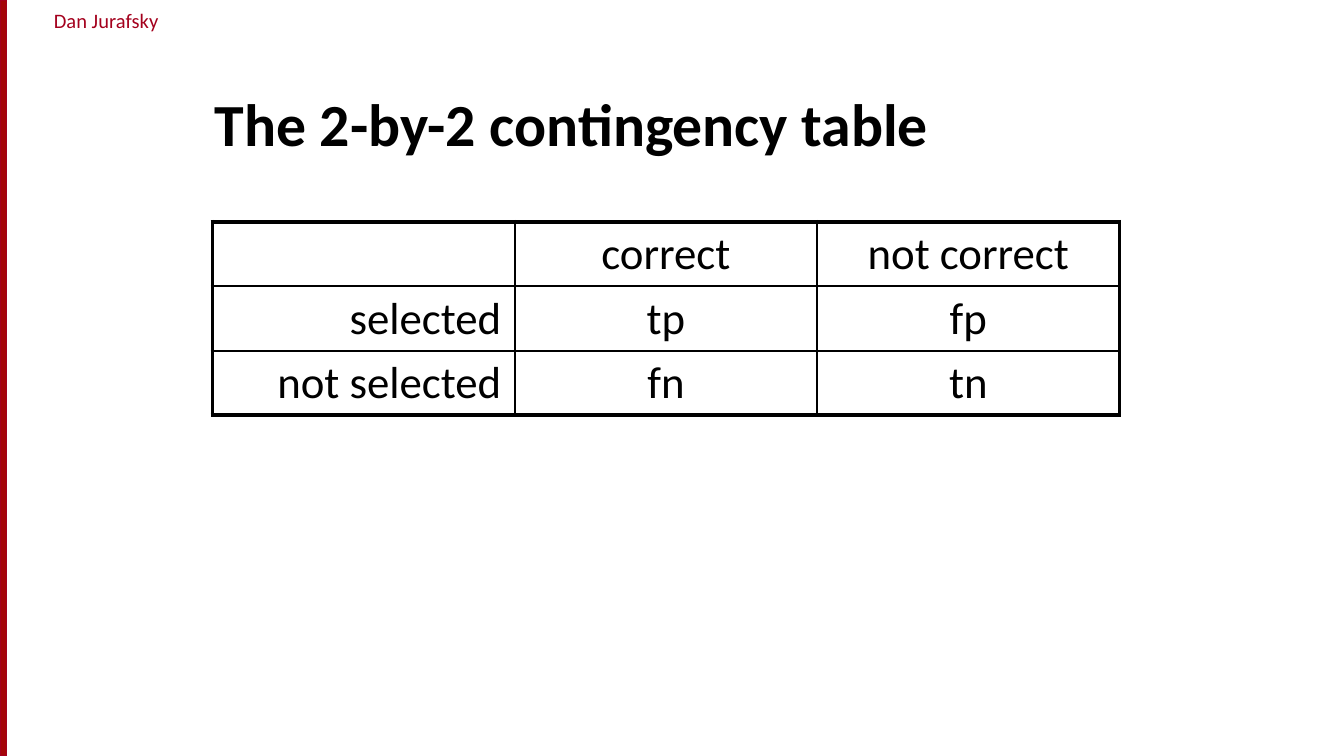
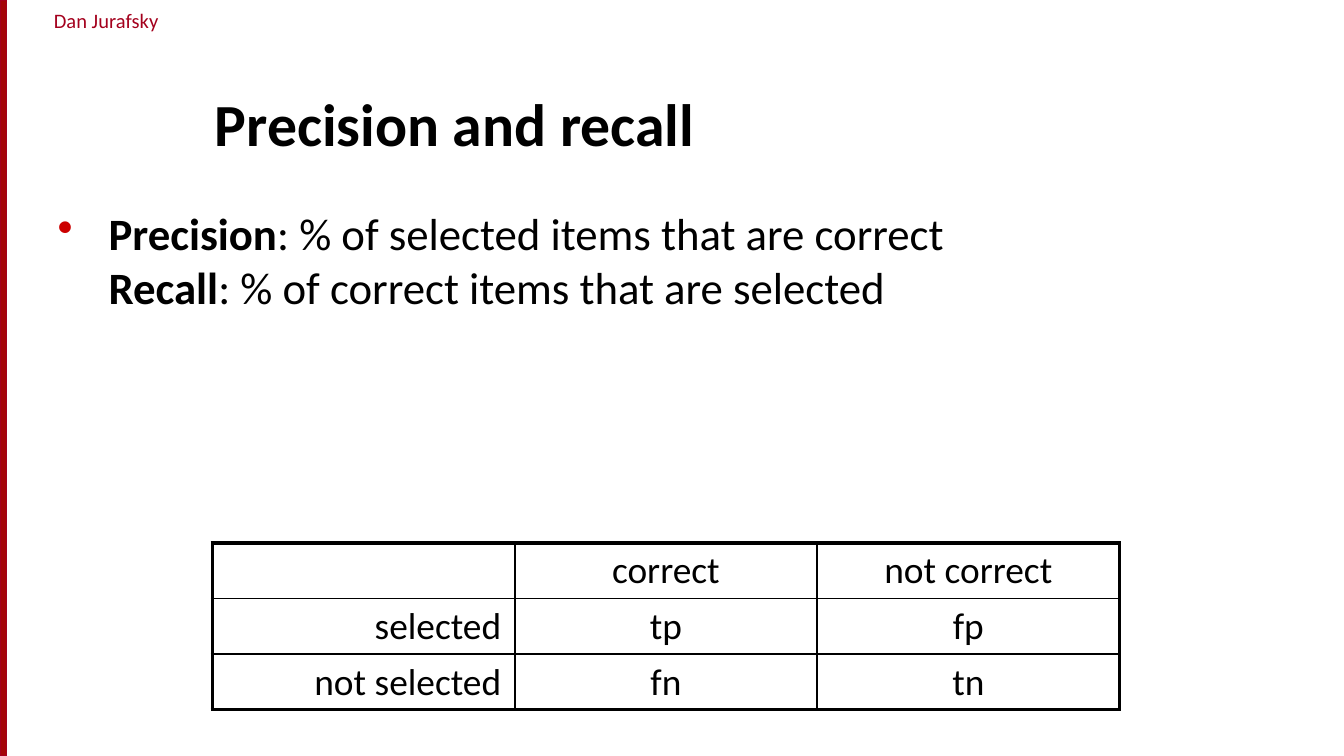
from lxml import etree
from pptx import Presentation
from pptx import util as u
from pptx.dml.color import RGBColor
from pptx.enum import shapes, text
from pptx.oxml import ns

# Content
AUTHOR = "Dan Jurafsky"
CONTINGENCY = [
    ["", "correct", "not correct"],
    ["selected", "tp", "fp"],
    ["not selected", "fn", "tn"],
]
DEFINITIONS = [
    ("Precision", ": % of selected items that are correct"),
    ("Recall", ": % of correct items that are selected"),
]
SLIDES = [
    {"title": "The 2-by-2 contingency table", "definitions": [],
     "table_top": 1.65, "row_height": 0.48, "size": 24},
    {"title": "Precision and recall", "definitions": DEFINITIONS,
     "table_top": 4.04, "row_height": 0.41, "size": 20},
]

# Shared style
WIDTH = 10
HEIGHT = WIDTH * 9 / 16
FONT = "Calibri"
COLORS = {"text": "000000", "author": "A4001D", "band": "A40508",
          "bullet": "CC0000", "background": "FFFFFF"}
TABLE_LEFT, COLUMN_WIDTH = 1.58, 2.25
OUTER, INNER = 2.25, 1
ALIGN = text.PP_ALIGN


def rgb(name):
    return RGBColor.from_string(COLORS[name])


def style(r, size, color="text", bold=False):
    r.font.name = FONT
    r.font.size = u.Pt(size)
    r.font.bold = bold
    r.font.color.rgb = rgb(color)


def add_text_box(s, left, top, width, height):
    box = s.shapes.add_textbox(*map(u.Inches, (left, top, width, height)))
    box.text_frame.word_wrap = True
    return box.text_frame


def add_xml(parent, tag, **attrs):
    return etree.SubElement(parent, ns.qn(tag), attrs)


def add_frame(s, title):
    """Background, author line, side band and title."""
    s.background.fill.solid()
    s.background.fill.fore_color.rgb = rgb("background")

    tf = add_text_box(s, 0.08, 0.01, 1.42, 0.29)
    tf.margin_left = tf.margin_right = 0
    p = tf.paragraphs[0]
    p.text = AUTHOR
    p.alignment = ALIGN.CENTER
    style(p.runs[0], 11, "author")

    band = s.shapes.add_shape(shapes.MSO_SHAPE.RECTANGLE, 0, 0,
                              u.Inches(0.05), u.Inches(HEIGHT))
    band.shadow.inherit = False
    band.fill.solid()
    band.fill.fore_color.rgb = rgb("band")
    band.line.color.rgb = rgb("author")
    band.line.width = u.Pt(0.75)

    tf = add_text_box(s, 1.5, 0.42, 8.17, 0.81)
    tf.vertical_anchor = text.MSO_ANCHOR.BOTTOM
    tf.text = title
    style(tf.paragraphs[0].runs[0], 32, bold=True)


def add_definitions(s, definitions):
    """One bullet, with each definition on its own line."""
    p = add_text_box(s, 0.33, 1.48, 9.33, 3.65).paragraphs[0]
    p.space_before = u.Pt(4.8)
    pPr = p._p.get_or_add_pPr()
    pPr.set("marL", str(u.Inches(0.38)))
    pPr.set("indent", str(u.Inches(-0.38)))
    add_xml(add_xml(pPr, "a:buClr"), "a:srgbClr", val=COLORS["bullet"])
    add_xml(pPr, "a:buChar", char="•")
    for i, definition in enumerate(definitions):
        if i:
            p.add_line_break()
        for part, bold in zip(definition, (True, False)):
            r = p.add_run()
            r.text = part
            style(r, 24, bold=bold)
    # The bullet takes its size from the paragraph end
    add_xml(p._p, "a:endParaRPr", sz="2400")


def set_borders(cell, widths):
    tcPr = cell._tc.get_or_add_tcPr()
    for side, width in widths.items():
        ln = add_xml(tcPr, f"a:ln{side}", w=str(u.Pt(width)))
        add_xml(add_xml(ln, "a:solidFill"), "a:srgbClr", val=COLORS["text"])


def add_contingency_table(s, top, row_height, size):
    rows, cols = len(CONTINGENCY), len(CONTINGENCY[0])
    box = (TABLE_LEFT, top, COLUMN_WIDTH * cols, row_height * rows)
    table = s.shapes.add_table(rows, cols, *map(u.Inches, box)).table
    table.first_row = table.horz_banding = False
    for column in table.columns:
        column.width = u.Inches(COLUMN_WIDTH)
    for i, row in enumerate(CONTINGENCY):
        table.rows[i].height = u.Inches(row_height)
        for j, label in enumerate(row):
            cell = table.cell(i, j)
            cell.margin_left = cell.margin_right = u.Inches(0.1)
            cell.margin_top = cell.margin_bottom = u.Inches(0.04)
            # Heavy lines around the table, thin lines inside
            set_borders(cell, {
                "L": OUTER if j == 0 else INNER,
                "R": OUTER if j == cols - 1 else INNER,
                "T": OUTER if i == 0 else INNER,
                "B": OUTER if i == rows - 1 else INNER,
            })
            cell.fill.background()
            if label:
                p = cell.text_frame.paragraphs[0]
                p.text = label
                p.alignment = ALIGN.CENTER if j else ALIGN.RIGHT
                style(p.runs[0], size)


def main():
    prs = Presentation()
    prs.slide_width, prs.slide_height = u.Inches(WIDTH), u.Inches(HEIGHT)
    for content in SLIDES:
        s = prs.slides.add_slide(prs.slide_layouts[6])
        add_frame(s, content["title"])
        if content["definitions"]:
            add_definitions(s, content["definitions"])
        add_contingency_table(s, content["table_top"],
                              content["row_height"], content["size"])
    prs.save("out.pptx")


if __name__ == "__main__":
    main()
